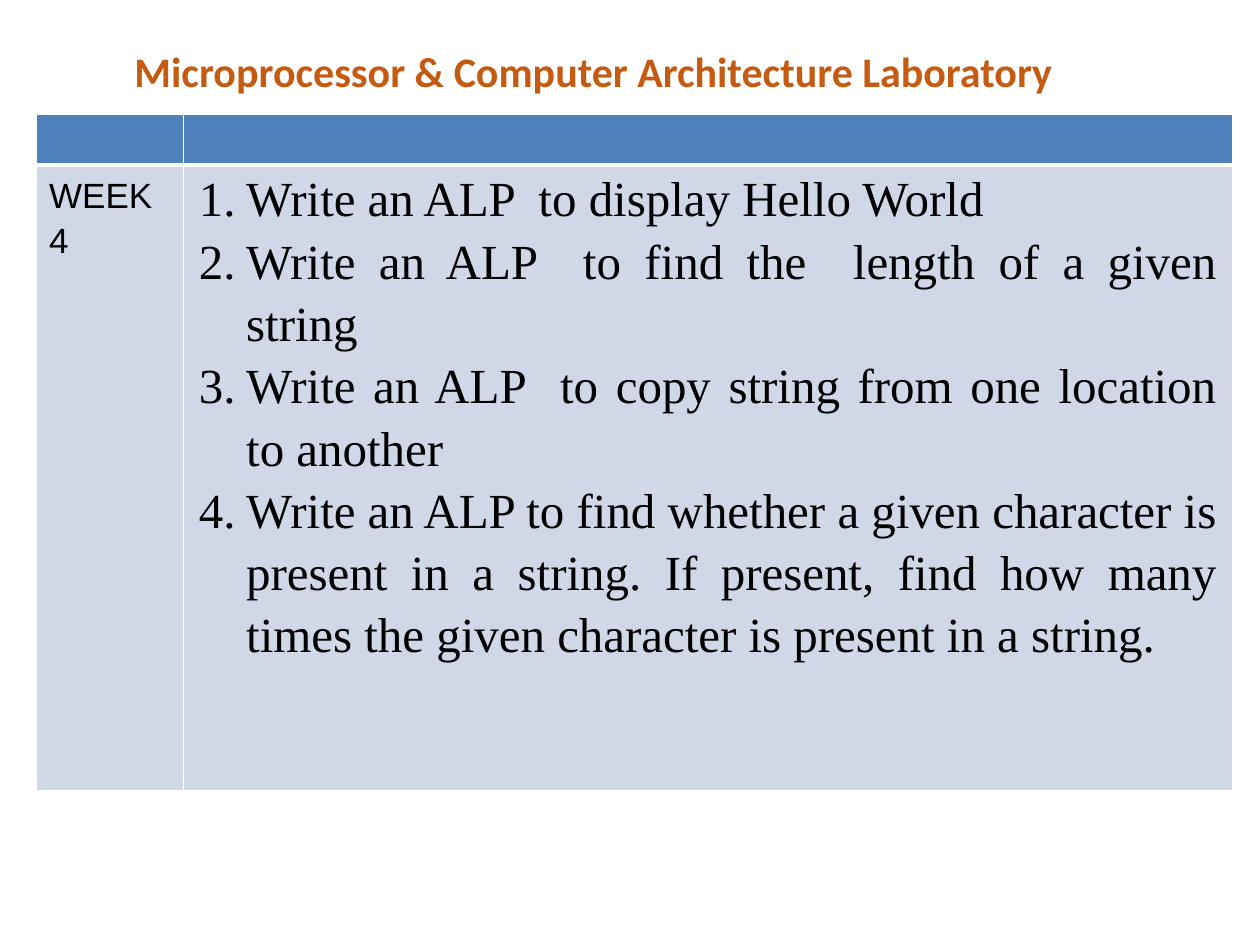
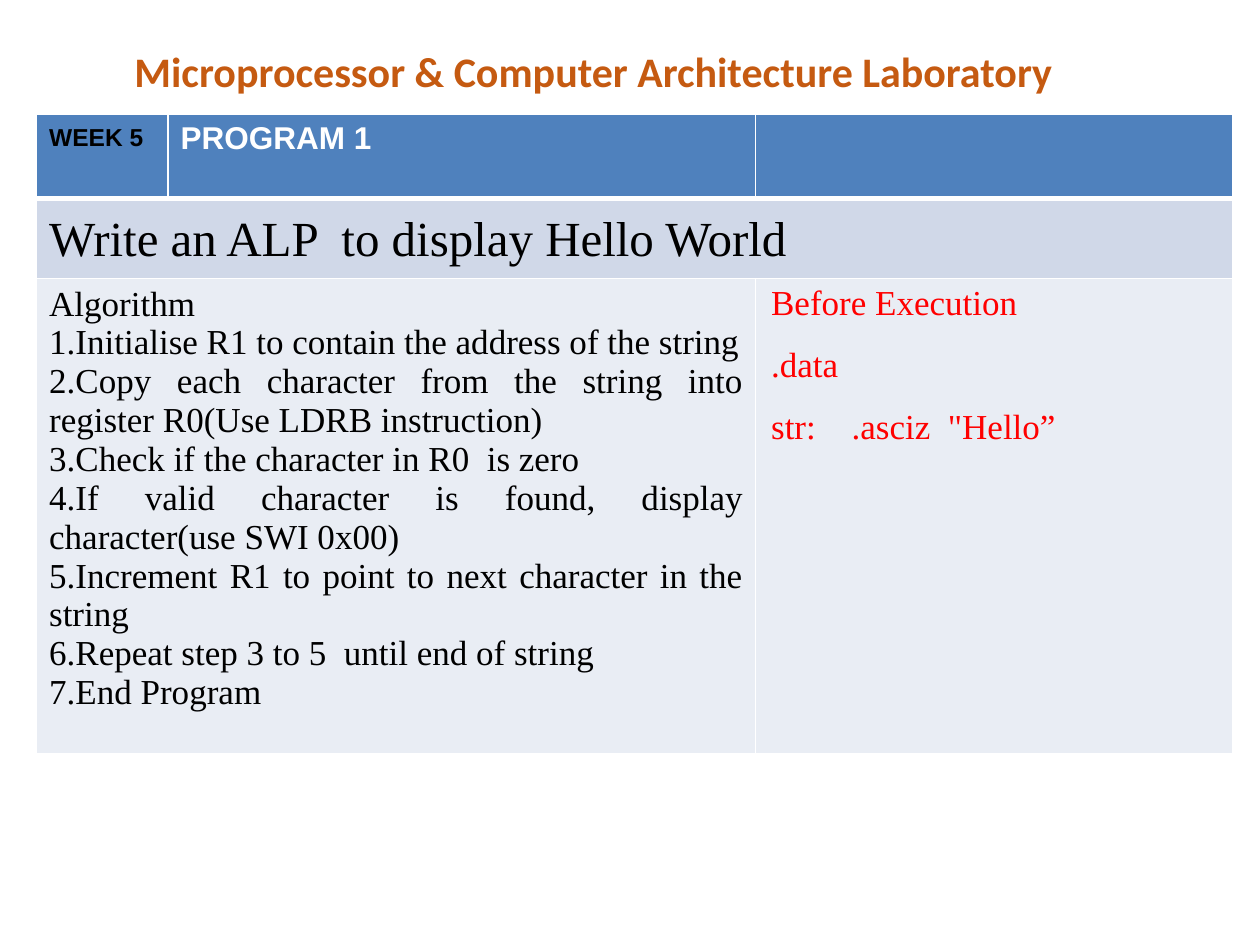
from lxml.etree import SubElement as Sub
from pptx import Presentation
from pptx.dml.color import RGBColor
from pptx.enum.text import MSO_ANCHOR, MSO_AUTO_SIZE, PP_ALIGN as Align
from pptx.oxml.ns import qn
from pptx.util import Pt

ORANGE = RGBColor(0xC5, 0x5A, 0x11)
BLUE = RGBColor(0x4F, 0x81, 0xBD)
PALE = RGBColor(0xD0, 0xD8, 0xE8)
MIST = RGBColor(0xE9, 0xED, 0xF4)
RED = RGBColor(0xFF, 0, 0)
BLACK = RGBColor(0, 0, 0)
WHITE = RGBColor(0xFF, 0xFF, 0xFF)
SERIF, SANS = "Times New Roman", "Arial"
LEFT, TOP = 20.9, 65.3

TITLE = "Microprocessor & Computer Architecture Laboratory"
TASKS = [
    "Write an ALP  to display Hello World",
    "Write an ALP  to find the  length of a given string",
    "Write an ALP  to copy string from one location to another",
    "Write an ALP to find whether a given character is present in a "
    "string. If present, find how many times the given character is "
    "present in a string.",
]
STEPS = [
    "Algorithm",
    "1.Initialise R1 to contain the address of the string",
    "2.Copy each character from the string into register R0"
    "(Use LDRB instruction)",
    "3.Check if the character in R0  is zero",
    "4.If valid character is found, display character(use SWI 0x00)",
    "5.Increment R1 to point to next character in the string",
    "6.Repeat step 3 to 5  until end of string",
    "7.End Program",
]
DATA = ["Before Execution", ".data", "str:\t.asciz  \"Hello\u201d"]


def style(para, font, size, color, bold=False):
    """Format every run of a paragraph."""
    for run in para.runs:
        face = run.font
        face.name, face.size, face.bold = font, Pt(size), bold
        face.color.rgb = color


def add_page(deck):
    """Add a slide with the shared title."""
    page = deck.slides.add_slide(deck.slide_layouts[5])
    box = page.shapes.title
    box.left, box.top, box.width, box.height = map(Pt, (18, 22.3, 642.3, 36))
    frame = box.text_frame
    frame.text = TITLE
    frame.word_wrap = True
    frame.vertical_anchor = MSO_ANCHOR.MIDDLE
    frame.auto_size = MSO_AUTO_SIZE.SHAPE_TO_FIT_TEXT
    para = frame.paragraphs[0]
    para.alignment = Align.CENTER
    style(para, "Calibri", 24, ORANGE, True)
    return page


def edge(cell, side, width):
    """Draw one white border of a cell."""
    line = Sub(cell._tc.get_or_add_tcPr(), qn("a:ln" + side), w=str(Pt(width)))
    Sub(Sub(line, qn("a:solidFill")), qn("a:srgbClr"), val=str(WHITE))


def add_grid(page, cols, rows, fills):
    """Add a table with one fill per row and a thick line below the header."""
    grid = page.shapes.add_table(
        len(rows), len(cols), Pt(LEFT), Pt(TOP), Pt(sum(cols)), Pt(sum(rows))
    ).table
    grid.horz_banding = False
    for col, width in zip(grid.columns, cols):
        col.width = Pt(width)
    for i, (row, height) in enumerate(zip(grid.rows, rows)):
        row.height = Pt(height)
        for cell in row.cells:
            for side in "LRTB":
                thick = (i, side) in ((0, "B"), (1, "T"))
                edge(cell, side, 3 if thick else 1)
            cell.fill.solid()
            cell.fill.fore_color.rgb = fills[i]
    return grid


def fill_cell(cell, lines, font, size, color=BLACK, bold=False,
              space=1.15, after=0, align=Align.JUSTIFY):
    """Write paragraphs into a cell and return them."""
    frame = cell.text_frame
    frame.text = "\n".join(lines)
    for para in frame.paragraphs:
        para.alignment = align
        para.line_spacing = space
        para.space_after = Pt(after)
        style(para, font, size, color, bold)
    return frame.paragraphs


def inset(cell):
    """Give a cell wide side margins and none above or below."""
    cell.margin_left = cell.margin_right = Pt(8.8)
    cell.margin_top = cell.margin_bottom = 0


def number(para):
    """Number a paragraph with a hanging indent."""
    props = para._p.get_or_add_pPr()
    props.set("marL", str(Pt(27)))
    props.set("indent", str(Pt(-27)))
    Sub(props, qn("a:buFont"), typeface="+mj-lt")
    Sub(props, qn("a:buAutoNum"), type="arabicPeriod")


def add_stop(para, place):
    """Set a left tab stop in a paragraph."""
    stops = Sub(para._p.get_or_add_pPr(), qn("a:tabLst"))
    Sub(stops, qn("a:tab"), pos=str(Pt(place)), algn="l")


def add_tasks(deck):
    """Build the list of tasks for the week."""
    grid = add_grid(add_page(deck), (84, 599.3), (29, 357.5), (BLUE, PALE))
    fill_cell(grid.cell(1, 0), ["WEEK 4"], SANS, 20)
    body = grid.cell(1, 1)
    inset(body)
    paras = fill_cell(body, TASKS, SERIF, 28)
    for para in paras:
        number(para)
    paras[-1].space_after = Pt(10)


def add_program(deck):
    """Build the first program with its algorithm and data."""
    grid = add_grid(add_page(deck), (75.2, 335.8, 272.3), (48, 45.5, 271.5),
                    (BLUE, PALE, MIST))
    grid.cell(1, 0).merge(grid.cell(1, 2))
    grid.cell(2, 0).merge(grid.cell(2, 1))
    fill_cell(grid.cell(0, 0), ["WEEK 5"], SANS, 14, bold=True)
    fill_cell(grid.cell(0, 1), ["PROGRAM 1"], SANS, 18, WHITE, True,
              space=1.0, align=Align.LEFT)
    fill_cell(grid.cell(1, 0), TASKS[:1], SERIF, 28, after=10)
    fill_cell(grid.cell(2, 0), STEPS, SERIF, 20, space=1.0)
    side = grid.cell(2, 2)
    inset(side)
    paras = fill_cell(side, DATA, SERIF, 20, RED, after=10)
    add_stop(paras[-1], 46)


def main():
    """Build and save the deck."""
    deck = Presentation()
    deck.slide_width, deck.slide_height = Pt(720), Pt(540)
    add_tasks(deck)
    add_program(deck)
    deck.save("out.pptx")


main()
